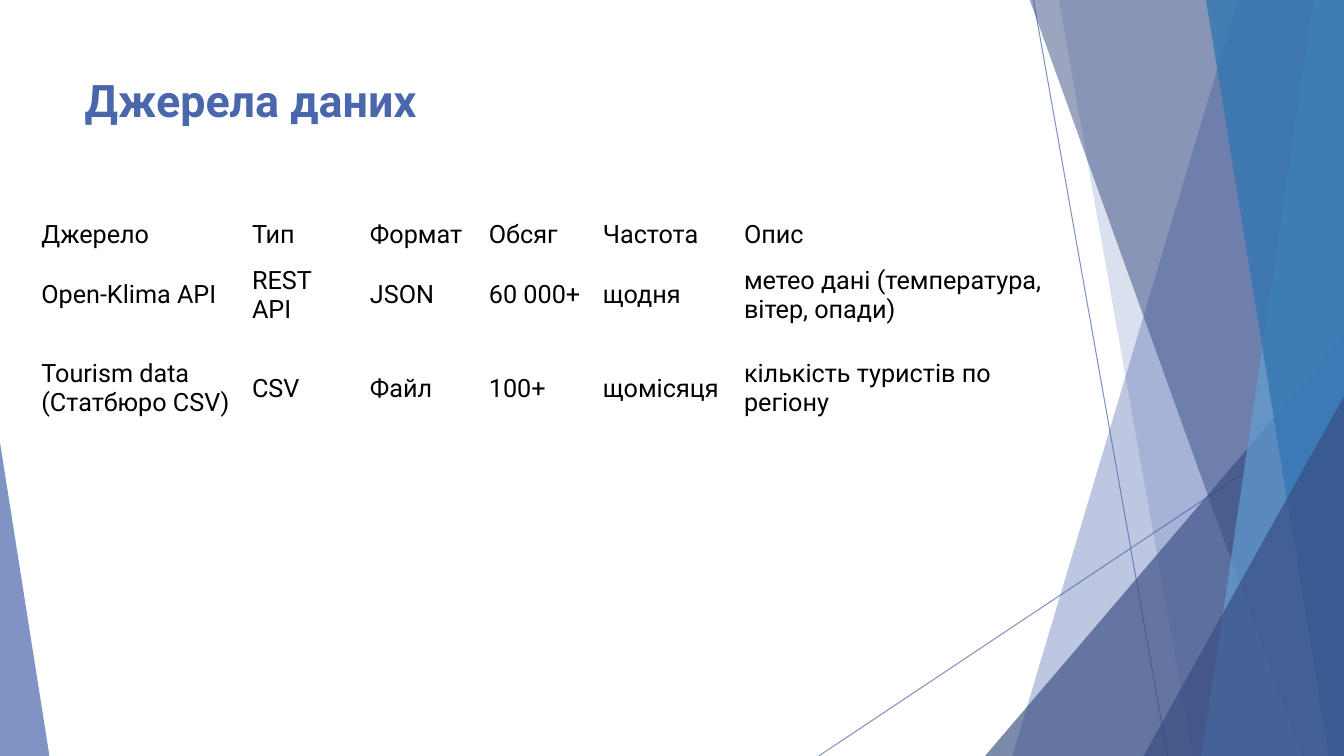
from pptx import Presentation
from pptx.dml.color import RGBColor
from pptx.enum import shapes, text
from pptx.oxml import parse_xml
from pptx.oxml.ns import nsdecls, qn
from pptx.util import Inches, Pt

WIDE, HIGH, TOP = 13.33, 7.5, -0.01
THEME = {
    "font": "Roboto", "title": 32, "body": 18, "line": 0.75,
    "ink": "000000", "blue": "4A66AC", "navy": "384C81",
    "sky": "629DD1", "deep": "3477B2",
}
TITLE = "Джерела даних"
ROWS = [
    ("Джерело", "Тип", "Формат", "Обсяг", "Частота", "Опис"),
    ("Open-Klima API", "REST API", "JSON", "60 000+", "щодня",
     "метео дані (температура, вітер, опади)"),
    ("Tourism data (Статбюро CSV)", "CSV", "Файл", "100+", "щомісяця",
     "кількість туристів по регіону"),
    ("",) * 6,
]
COLS = (2.09, 1.17, 1.18, 1.13, 1.4, 3.28)
TALL = (0.44, 0.76, 1.09, 0.44)

# Lines: x1, y1, x2, y2
LINES = [(10.25, 0, 11.58, HIGH), (WIDE, 4.03, 8.12, HIGH)]
# Bands reach the right edge: top-left x, bottom-left x, colour, opacity
# Peaks stand on the bottom edge: left, top, width, apex, colour, opacity
DECOR = [
    ("band", 12.28, 10.04, "blue", 36),
    ("band", 10.5, 11.83, "blue", 20),
    ("peak", 9.77, 3.33, 3.56, 1, "navy", 66),
    ("band", 10.21, 12.91, "navy", 50),
    ("band", 13.03, 11.92, "sky", 70),
    ("band", 11.96, 13.18, "deep", 80),
    ("peak", 11.34, 3.93, 1.99, 1, "navy", 66),
    ("peak", 0, 4.39, 0.49, 0, "blue", 70),
]


def color(name):
    return RGBColor.from_string(THEME[name])


def fade(fill, alpha):
    """Set the opacity, in percent, of a solid fill element."""
    fill[0].append(parse_xml(
        f'<a:alpha {nsdecls("a")} val="{alpha * 1000}"/>'))


def style(para, size, name, bold=False):
    font = para.font
    font.name, font.size, font.bold = THEME["font"], Pt(THEME[size]), bold
    font.color.rgb = color(name)


def add_line(slide, ends):
    line = slide.shapes.add_connector(
        shapes.MSO_CONNECTOR.STRAIGHT, *map(Inches, ends))
    line.line.color.rgb = color("blue")
    line.line.width = Pt(THEME["line"])
    props = line._element.spPr
    fade(props.find(qn("a:ln")).find(qn("a:solidFill")), 70)
    props.append(parse_xml(f'<a:effectLst {nsdecls("a")}/>'))


def add_band(slide, top, base):
    pen = slide.shapes.build_freeform(Inches(top), Inches(TOP))
    spots = [(WIDE, TOP), (WIDE, HIGH), (base, HIGH)]
    pen.add_line_segments([(Inches(x), Inches(y)) for x, y in spots])
    return pen.convert_to_shape()


def add_peak(slide, left, top, width, apex):
    peak = slide.shapes.add_shape(
        shapes.MSO_SHAPE.ISOSCELES_TRIANGLE,
        *map(Inches, (left, top, width, HIGH - top)))
    peak.adjustments[0] = apex
    return peak


def add_decor(slide):
    for ends in LINES:
        add_line(slide, ends)
    draw = {"band": add_band, "peak": add_peak}
    for kind, *place, name, alpha in DECOR:
        shape = draw[kind](slide, *place)
        shape.shadow.inherit = False
        shape.line.fill.background()
        shape.fill.solid()
        shape.fill.fore_color.rgb = color(name)
        fade(shape._element.spPr.find(qn("a:solidFill")), alpha)


def add_title(slide):
    title = slide.shapes.title
    title.left, title.top, title.width, title.height = map(
        Inches, (0.74, 0.67, 9.4, 1.44))
    title.text_frame.text = TITLE
    title.text_frame.vertical_anchor = text.MSO_ANCHOR.TOP
    para = title.text_frame.paragraphs[0]
    para.alignment = text.PP_ALIGN.LEFT
    style(para, "title", "blue", True)


def add_sources(slide):
    table = slide.shapes.add_table(
        len(ROWS), len(COLS), Inches(0.31), Inches(2.11),
        Inches(sum(COLS)), Inches(sum(TALL))).table
    table.first_row = table.horz_banding = False
    plain = "{2D5ABB26-0587-4C30-8999-92F81FD0307C}"  # no style, no grid
    table._tbl.tblPr.find(qn("a:tableStyleId")).text = plain
    for col, width in zip(table.columns, COLS):
        col.width = Inches(width)
    for row, height, words in zip(table.rows, TALL, ROWS):
        row.height = Inches(height)
        for cell, word in zip(row.cells, words):
            cell.text = word
            cell.fill.background()
            cell.vertical_anchor = text.MSO_ANCHOR.MIDDLE
            style(cell.text_frame.paragraphs[0], "body", "ink")


def main():
    deck = Presentation()
    deck.slide_width, deck.slide_height = Inches(WIDE), Inches(HIGH)
    slide = deck.slides.add_slide(deck.slide_layouts[5])
    add_decor(slide)
    add_title(slide)
    add_sources(slide)
    deck.save("out.pptx")


if __name__ == "__main__":
    main()
